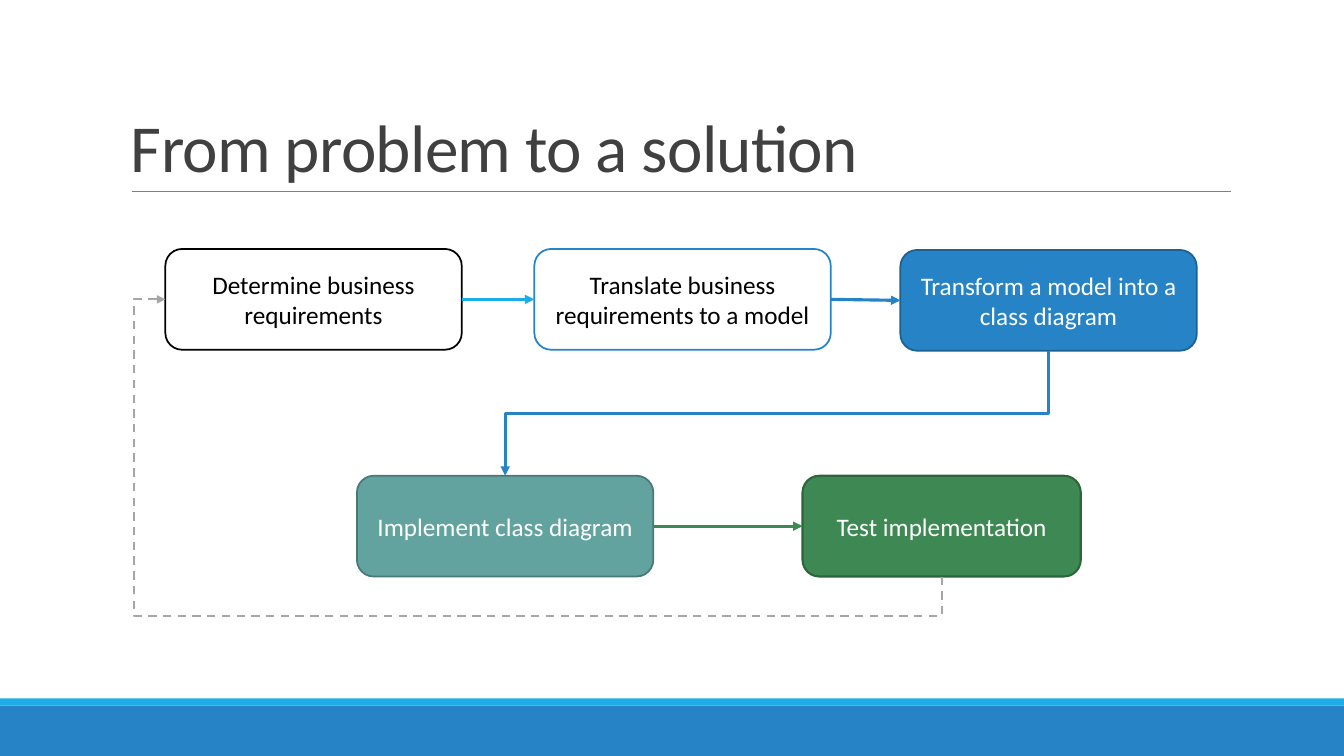
from pptx import Presentation
from pptx.dml.color import RGBColor
from pptx.enum.dml import MSO_LINE
from pptx.enum.shapes import MSO_CONNECTOR, MSO_SHAPE
from pptx.enum.text import MSO_ANCHOR, PP_ALIGN
from pptx.oxml.ns import qn
from pptx.oxml.xmlchemy import OxmlElement
from pptx.util import Inches, Pt

RECT, ROUND = MSO_SHAPE.RECTANGLE, MSO_SHAPE.ROUNDED_RECTANGLE
STRAIGHT, ELBOW = MSO_CONNECTOR.STRAIGHT, MSO_CONNECTOR.ELBOW
TOP, LEFT, BOTTOM, RIGHT = range(4)

# Content
TITLE = "From problem to a solution"
FONT = "Calibri"
BOX_H = 1
BANDS = [(7, 0.5, "2683C6"), (6.93, 0.07, "1CADE4")]  # top, height, fill
# name: text, left, top, width, fill, line, line width, font colour
STEPS = {
    "determine": ("Determine business requirements",
                  1.64, 2.47, 2.94, "FFFFFF", "000000", 1.25, "000000"),
    "translate": ("Translate business requirements to a model",
                  5.3, 2.47, 2.94, "FFFFFF", "2683C6", 1.25, "000000"),
    "transform": ("Transform a model into a class diagram",
                  8.93, 2.48, 2.94, "2683C6", "1C6192", 1.25, "FFFFFF"),
    "implement": ("Implement class diagram",
                  3.54, 4.72, 2.94, "62A39F", "497976", 1.25, "FFFFFF"),
    "test": ("Test implementation",
             7.96, 4.72, 2.76, "3E8853", "2E653D", 1.5, "FFFFFF"),
}
# from, to, colour
ARROWS = [
    ("determine", "translate", "1CADE4"),
    ("translate", "transform", "2683C6"),
    ("implement", "test", "3E8853"),
]
# from, to, side reached, colour, width, dashed, preset, bend positions
BENDS = [
    ("transform", "implement", TOP, "2683C6", 2.25, False,
     "bentConnector3", [50000]),
    ("test", "determine", LEFT, "A6A6A6", 1.5, True,
     "bentConnector4", [-14300, 104000]),
]


def rgb(color):
    return RGBColor.from_string(color)


def add_box(kind, x, y, w, h, fill, line=None, width=1.25):
    sp = s.shapes.add_shape(kind, Inches(x), Inches(y), Inches(w), Inches(h))
    sp.shadow.inherit = False
    sp.fill.solid()
    sp.fill.fore_color.rgb = rgb(fill)
    if line:
        sp.line.color.rgb = rgb(line)
        sp.line.width = Pt(width)
    else:
        sp.line.fill.background()
    return sp


def write(sp, text, size, color, anchor):
    tf = sp.text_frame
    tf.word_wrap = True
    tf.vertical_anchor = anchor
    tf.text = text
    p = tf.paragraphs[0]
    r = p.runs[0]
    r.font.name, r.font.size = FONT, Pt(size)
    r.font.color.rgb = rgb(color)
    return p


def add_line(kind, color, width, arrow=True, ends=(0, 0, 0, 0)):
    c = s.shapes.add_connector(kind, *[Inches(v) for v in ends])
    c.line.color.rgb = rgb(color)
    c.line.width = Pt(width)
    c._element.spPr.append(OxmlElement("a:effectLst"))
    if arrow:
        tail = OxmlElement("a:tailEnd")
        tail.set("type", "triangle")
        c.line._get_or_add_ln().append(tail)
    return c


def turn_elbow(c, preset, bends):
    """Rotate the elbow a quarter turn so that it leaves downwards."""
    dx, dy = c.end_x - c.begin_x, c.end_y - c.begin_y
    mid_x, mid_y = c.begin_x + dx // 2, c.begin_y + dy // 2
    c.width, c.height = abs(dy), abs(dx)
    c.left, c.top = mid_x - c.width // 2, mid_y - c.height // 2
    xfrm = c._element.spPr.find(qn("a:xfrm"))
    xfrm.set("rot", "5400000")
    xfrm.set("flipH", "1" if dy < 0 else "0")
    xfrm.set("flipV", "0")
    geom = c._element.spPr.find(qn("a:prstGeom"))
    geom.set("prst", preset)
    guides = geom.find(qn("a:avLst"))
    for i, bend in enumerate(bends, 1):
        gd = OxmlElement("a:gd")
        gd.set("name", f"adj{i}")
        gd.set("fmla", f"val {bend}")
        guides.append(gd)


prs = Presentation()
prs.slide_width, prs.slide_height = Inches(13.33), Inches(7.5)
s = prs.slides.add_slide(prs.slide_layouts[6])

# Footer bands and title rule
for y, h, fill in BANDS:
    add_box(RECT, 0, y, 13.33, h, fill)
add_line(STRAIGHT, "808080", 0.5, False, (1.31, 1.9, 12.21, 1.9))

# Title
title = s.shapes.add_textbox(Inches(1.2), Inches(0.31), Inches(11), Inches(1.59))
p = write(title, TITLE, 48, "404040", MSO_ANCHOR.BOTTOM)
p.line_spacing = 0.85
p.runs[0].font._element.set("spc", "-50")

# Steps
boxes = {}
for name, (text, x, y, w, fill, line, width, color) in STEPS.items():
    boxes[name] = add_box(ROUND, x, y, w, BOX_H, fill, line, width)
    p = write(boxes[name], text, 18, color, MSO_ANCHOR.MIDDLE)
    p.alignment = PP_ALIGN.CENTER

# Straight arrows
for start, end, color in ARROWS:
    c = add_line(STRAIGHT, color, 2.25)
    c.begin_connect(boxes[start], RIGHT)
    c.end_connect(boxes[end], LEFT)

# Bent arrows
for start, end, side, color, width, dashed, preset, bends in BENDS:
    c = add_line(ELBOW, color, width)
    if dashed:
        c.line.dash_style = MSO_LINE.DASH
    c.begin_connect(boxes[start], BOTTOM)
    c.end_connect(boxes[end], side)
    turn_elbow(c, preset, bends)

prs.save("out.pptx")
